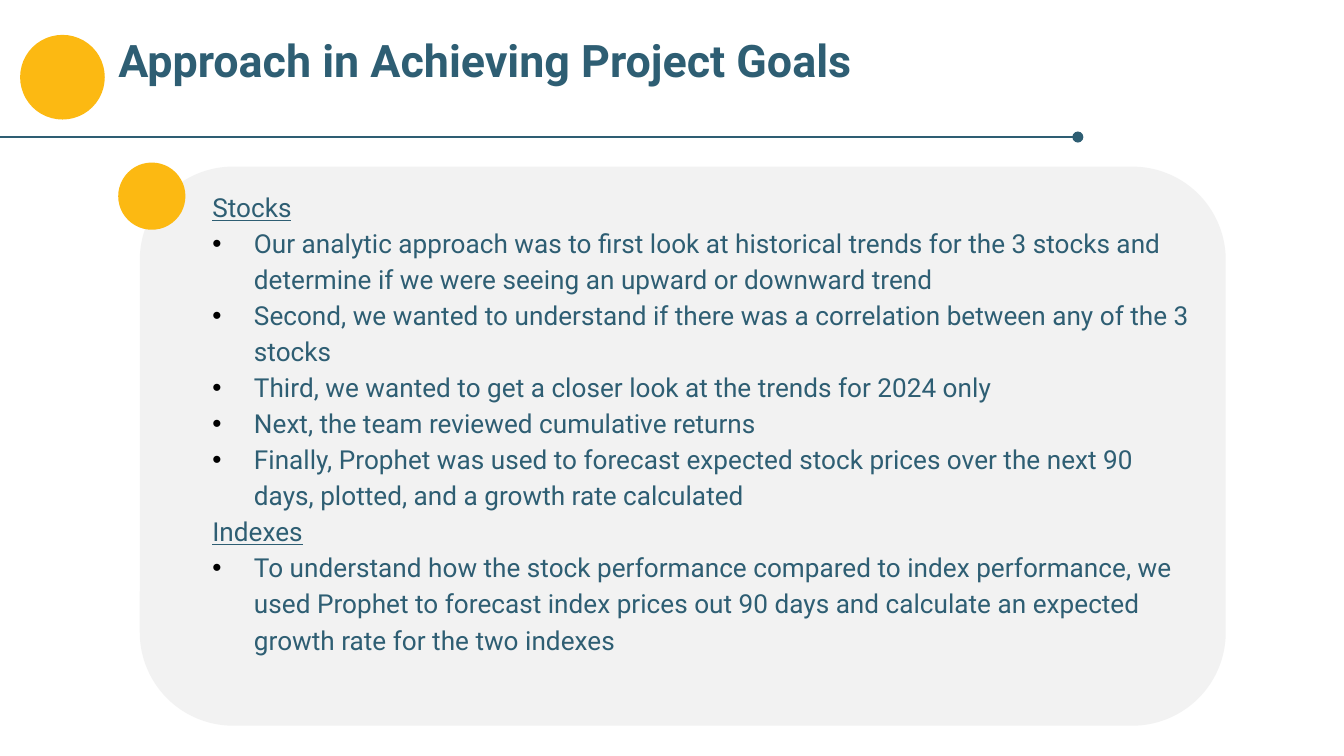
from dataclasses import dataclass

from lxml.etree import SubElement
from pptx import Presentation
from pptx.dml.color import RGBColor
from pptx.enum.shapes import MSO_CONNECTOR, MSO_SHAPE
from pptx.enum.text import MSO_ANCHOR, MSO_AUTO_SIZE, PP_ALIGN
from pptx.oxml.ns import qn
from pptx.util import Inches, Pt

FONT = "Roboto"
TEAL, YELLOW, GRAY, BLACK = "2E5E73", "FCB912", "F2F2F2", "000000"
SLIDE_WIDTH = Inches(10)
SLIDE_HEIGHT = SLIDE_WIDTH * 9 // 16
BULLET_INDENT = Inches(0.31)


@dataclass(frozen=True)
class Box:
    left: float
    top: float
    width: float
    height: float


@dataclass(frozen=True)
class Section:
    heading: str
    points: tuple[str, ...]


TITLE = "Approach in Achieving Project Goals"
SECTIONS = (
    Section("Stocks", (
        "Our analytic approach was to first look at historical trends for the 3 stocks "
        "and determine if we were seeing an upward or downward trend",
        "Second, we wanted to understand if there was a correlation between any of the 3 stocks",
        "Third, we wanted to get a closer look at the trends for 2024 only",
        "Next, the team reviewed cumulative returns",
        "Finally, Prophet was used to forecast expected stock prices over the next 90 days, "
        "plotted, and a growth rate calculated",
    )),
    Section("Indexes", (
        "To understand how the stock performance compared to index performance, we used "
        "Prophet to forecast index prices out 90 days and calculate an expected growth rate "
        "for the two indexes",
    )),
)


def color(hex_value: str) -> RGBColor:
    return RGBColor.from_string(hex_value)


def place(shape, box: Box) -> None:
    shape.left, shape.top = Inches(box.left), Inches(box.top)
    shape.width, shape.height = Inches(box.width), Inches(box.height)


def add_filled_shape(slide, preset: MSO_SHAPE, box: Box, fill: str):
    shape = slide.shapes.add_shape(preset, 0, 0, 0, 0)
    place(shape, box)
    shape.shadow.inherit = False
    shape.fill.solid()
    shape.fill.fore_color.rgb = color(fill)
    shape.line.fill.background()
    return shape


def prepare_frame(placeholder, box: Box):
    """Move a placeholder and give its text frame even insets."""
    place(placeholder, box)
    frame = placeholder.text_frame
    frame.word_wrap = True
    frame.auto_size = MSO_AUTO_SIZE.NONE
    frame.vertical_anchor = MSO_ANCHOR.TOP
    frame.margin_left = frame.margin_right = Inches(0.1)
    frame.margin_top = frame.margin_bottom = Inches(0.1)
    return frame


def add_run(paragraph, text: str, size: int, bold: bool = False, underline: bool = False) -> None:
    run = paragraph.add_run()
    run.text = text
    run.font.name = FONT
    run.font.size = Pt(size)
    run.font.bold = bold
    run.font.underline = underline
    run.font.color.rgb = color(TEAL)


def set_bullet(paragraph, bulleted: bool) -> None:
    properties = paragraph._p.get_or_add_pPr()
    indent = BULLET_INDENT if bulleted else 0
    properties.set("marL", str(indent))
    properties.set("indent", str(-indent))
    if not bulleted:
        SubElement(properties, qn("a:buNone"))
        return
    bullet_color = SubElement(properties, qn("a:buClr"))
    SubElement(bullet_color, qn("a:srgbClr"), val=BLACK)
    SubElement(properties, qn("a:buFont"), typeface="Arial")
    SubElement(properties, qn("a:buChar"), char="•")


def fill_body(frame, sections: tuple[Section, ...]) -> None:
    lines = [
        (text, is_point)
        for section in sections
        for text, is_point in [(section.heading, False), *((p, True) for p in section.points)]
    ]
    for index, (text, is_point) in enumerate(lines):
        paragraph = frame.add_paragraph() if index else frame.paragraphs[0]
        paragraph.alignment = PP_ALIGN.LEFT
        paragraph.line_spacing = 1.15
        paragraph.space_before = paragraph.space_after = Pt(0)
        set_bullet(paragraph, is_point)
        add_run(paragraph, text, 14, underline=not is_point)


def add_title_rule(slide) -> None:
    rule = slide.shapes.add_connector(
        MSO_CONNECTOR.STRAIGHT, Inches(-0.01), Inches(1.02), Inches(8.02), Inches(1.02))
    rule.line.color.rgb = color(TEAL)
    rule.line.width = Pt(1.5)
    SubElement(rule.line._get_or_add_ln(), qn("a:tailEnd"), type="oval")
    SubElement(rule._element.spPr, qn("a:effectLst"))


def main() -> None:
    presentation = Presentation()
    presentation.slide_width, presentation.slide_height = SLIDE_WIDTH, SLIDE_HEIGHT
    slide = presentation.slides.add_slide(presentation.slide_layouts[1])
    title, body = slide.placeholders

    title_frame = prepare_frame(title, Box(0.78, 0.14, 8.88, 0.63))
    title_frame.paragraphs[0].alignment = PP_ALIGN.LEFT
    add_run(title_frame.paragraphs[0], TITLE, 24, bold=True)

    fill_body(prepare_frame(body, Box(1.48, 1.29, 7.54, 4)), SECTIONS)

    add_filled_shape(slide, MSO_SHAPE.OVAL, Box(0.15, 0.26, 0.63, 0.63), YELLOW)
    panel = add_filled_shape(
        slide, MSO_SHAPE.ROUNDED_RECTANGLE, Box(1.04, 1.24, 8.08, 4.16), GRAY)
    panel.adjustments[0] = 0.167
    panel._element.addnext(body._element)  # the list lies in front of its panel
    add_filled_shape(slide, MSO_SHAPE.OVAL, Box(0.88, 1.21, 0.5, 0.5), YELLOW)
    add_title_rule(slide)

    presentation.save("out.pptx")


if __name__ == "__main__":
    main()
